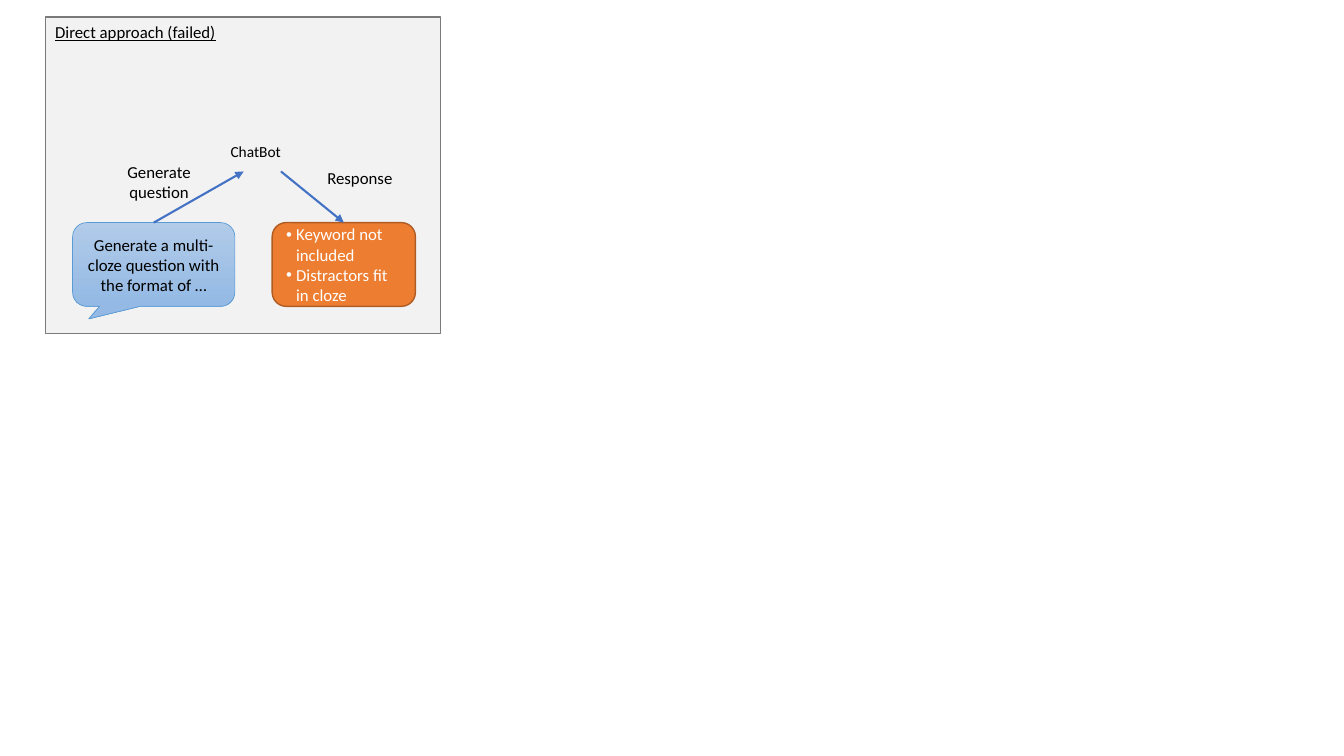
from lxml.etree import SubElement
from pptx import Presentation
from pptx.dml.color import RGBColor
from pptx.enum.shapes import MSO_CONNECTOR, MSO_SHAPE
from pptx.enum.text import MSO_ANCHOR, MSO_AUTO_SIZE, PP_ALIGN
from pptx.oxml.ns import qn
from pptx.util import Cm, Pt

COLORS = {
    "panel": "F2F2F2", "frame": "7A7A7A", "black": "000000", "white": "FFFFFF",
    "light": "B1CBE9", "deep": "93B9E4", "edge": "5B9BD5",
    "reply": "ED7D31", "rim": "AF5C24", "arrow": "4472C4",
}


def hue(name):
    return RGBColor.from_string(COLORS[name])


def write(shape, lines, size=12, color="black", align=PP_ALIGN.LEFT, anchor=MSO_ANCHOR.TOP):
    frame = shape.text_frame
    frame.word_wrap = True
    frame.vertical_anchor = anchor
    for i, line in enumerate(lines):
        para = frame.add_paragraph() if i else frame.paragraphs[0]
        para.text = line
        para.alignment = align
        for run in para.runs:
            run.font.name = "Calibri"
            run.font.size = Pt(size)
            run.font.color.rgb = hue(color)
    return frame


def add_box(slide, kind, box, line, width, fill=None):
    shape = slide.shapes.add_shape(kind, *map(Cm, box))
    shape.shadow.inherit = False
    shape.line.color.rgb = hue(line)
    shape.line.width = Pt(width)
    if fill:
        shape.fill.solid()
        shape.fill.fore_color.rgb = hue(fill)
    return shape


def add_label(slide, box, text, size=12, align=PP_ALIGN.CENTER):
    label = slide.shapes.add_textbox(*map(Cm, box))
    frame = write(label, [text], size, align=align)
    frame.auto_size = MSO_AUTO_SIZE.SHAPE_TO_FIT_TEXT
    return frame


def add_arrow(slide, start, end):
    arrow = slide.shapes.add_connector(MSO_CONNECTOR.STRAIGHT, *map(Cm, start + end))
    arrow.line.color.rgb = hue("arrow")
    arrow.line.width = Pt(1.5)
    SubElement(arrow.line._get_or_add_ln(), qn("a:tailEnd"), type="triangle")
    SubElement(arrow._element.spPr, qn("a:effectLst"))
    return arrow


def add_bullet(para):
    props = para._p.get_or_add_pPr()
    props.set("marL", str(Cm(0.25)))
    props.set("indent", str(-Cm(0.25)))
    SubElement(props, qn("a:buFont"), typeface="Arial")
    SubElement(props, qn("a:buChar"), char="•")


def add_prompt(slide, box):
    prompt = add_box(slide, MSO_SHAPE.ROUNDED_RECTANGULAR_CALLOUT, box, "edge", 0.5)
    for i, value in enumerate((-0.4, 0.65, 0.17)):
        prompt.adjustments[i] = value
    prompt.fill.gradient()
    prompt.fill.gradient_angle = 270
    for stop, name in zip(prompt.fill.gradient_stops, ("light", "deep")):
        stop.color.rgb = hue(name)
    write(prompt, ["Generate a multi-cloze question with the format of …"],
          align=PP_ALIGN.CENTER, anchor=MSO_ANCHOR.MIDDLE)
    return prompt


def add_reply(slide, box):
    reply = add_box(slide, MSO_SHAPE.ROUNDED_RECTANGLE, box, "rim", 1, "reply")
    frame = write(reply, ["Keyword not included", "Distractors fit in cloze"],
                  color="white", anchor=MSO_ANCHOR.MIDDLE)
    for para in frame.paragraphs:
        add_bullet(para)
    return reply


def add_panel(slide, box):
    left, top, width, height = box
    panel = add_box(slide, MSO_SHAPE.RECTANGLE, box, "frame", 1, "panel")
    frame = write(panel, ["Direct approach (failed)"])
    frame.paragraphs[0].runs[0].font.underline = True

    row = top + 5.18
    tip = top + 3.89
    prompt = add_prompt(slide, (left + 0.69, row, 4.09, 2.11))
    reply = add_reply(slide, (left + 5.72, row, 3.61, 2.11))
    ask = add_arrow(slide, (left + 2.73, row), (left + 5, tip))
    ask.begin_connect(prompt, 0)
    answer = add_arrow(slide, (left + 5.94, tip), (left + 7.52, row))
    answer.end_connect(reply, 0)

    bot = add_label(slide, (left + 4.42, top + 3.02, 1.88, 0.74), "ChatBot", 11, PP_ALIGN.LEFT)
    bot.word_wrap = False
    add_label(slide, (left + 0.99, top + 3.51, 3.76, 1.27), "Generate\vquestion")
    add_label(slide, (left + 6.05, top + 3.68, 3.76, 0.76), "Response")


def main():
    deck = Presentation()
    deck.slide_width = Cm(33.87)
    deck.slide_height = Cm(19.05)
    slide = deck.slides.add_slide(deck.slide_layouts[6])
    add_panel(slide, (1.14, 0.43, 9.96, 7.98))
    deck.save("out.pptx")


if __name__ == "__main__":
    main()
